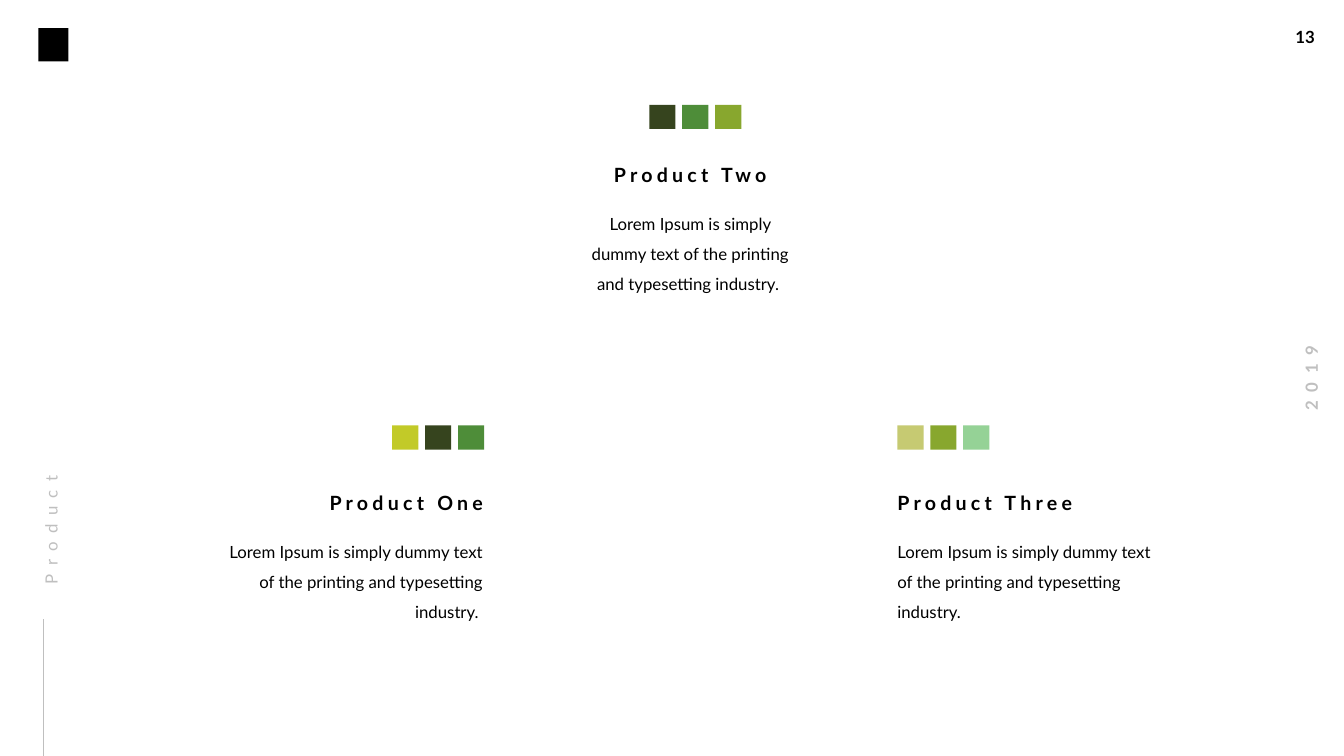
from pptx import Presentation, util as u
from pptx.dml.color import RGBColor
from pptx.enum import shapes, text
from pptx.oxml.ns import qn
from lxml import etree

BLACK = RGBColor(0x00, 0x00, 0x00)
GREY = RGBColor(0xBF, 0xBF, 0xBF)
DARK = RGBColor(0x36, 0x44, 0x1E)
GREEN = RGBColor(0x4E, 0x8D, 0x39)
OLIVE = RGBColor(0x88, 0xA7, 0x2E)
LIME = RGBColor(0xC2, 0xCA, 0x28)
SAND = RGBColor(0xC6, 0xCA, 0x72)
MINT = RGBColor(0x95, 0xD2, 0x96)
LEFT, CENTER, RIGHT = text.PP_ALIGN.LEFT, text.PP_ALIGN.CENTER, text.PP_ALIGN.RIGHT

prs = Presentation()
prs.slide_width, prs.slide_height = u.Inches(13.33), u.Inches(7.5)
s = prs.slides.add_slide(prs.slide_layouts[6])

# Grid of 100 columns by 100 rows
COL, ROW = prs.slide_width / 100, prs.slide_height / 100


def box(x, y, w, h):
    return int(x * COL), int(y * ROW), int(w * COL), int(h * ROW)


def add_text(words, place, size=12, color=BLACK, bold=False, align=LEFT,
             spacing=0, line=None, inset=True, wrap=True, rotation=0):
    sp = s.shapes.add_textbox(*box(*place))
    sp.rotation = rotation
    tf = sp.text_frame
    tf.word_wrap = wrap
    tf.auto_size = text.MSO_AUTO_SIZE.SHAPE_TO_FIT_TEXT
    p = tf.paragraphs[0]
    p.alignment = align
    if not inset:
        tf.margin_left = tf.margin_top = tf.margin_bottom = 0
        p.space_before = u.Pt(12)
    if line:
        p.line_spacing = line
    r = p.add_run()
    r.text = words
    r.font.name, r.font.size, r.font.bold = "Lato", u.Pt(size), bold
    r.font.color.rgb = color
    if spacing:
        r._r.get_or_add_rPr().set("spc", str(spacing * 100))


# Page furniture: mark, page number, year
mark = s.shapes.add_shape(shapes.MSO_SHAPE.RECTANGLE, *box(2.85, 3.73, 2.25, 4.4))
mark.shadow.inherit = False
mark.fill.solid()
mark.fill.fore_color.rgb = BLACK
mark.line.fill.background()
add_text("13", (95.65, 2.93, 3.08, 4), bold=True, wrap=False)
add_text("2019", (94.07, 48, 6.98, 4), color=GREY, bold=True, align=CENTER,
         spacing=6, wrap=False, rotation=270)

# Section label and its line
add_text("Product", (-3.68, 63.2, 13.88, 3.47), color=GREY, spacing=6,
         line=1.5, inset=False, rotation=270)
rule = s.shapes.add_connector(shapes.MSO_CONNECTOR.STRAIGHT, int(3.23 * COL),
                              int(100 * ROW), int(3.23 * COL), int(81.87 * ROW))
rule.line.color.rgb = GREY
rule.line.width = u.Pt(0.5)
etree.SubElement(rule._element.spPr, qn("a:effectLst"))

# Products: name, align, swatch x and y, title x and y, body x and width, colours
LOREM = "Lorem Ipsum is simply dummy text of the printing and typesetting industry."
products = [
    ("Product Two", CENTER, 48.31, 13.87, 42.91, 21.6, 43.59, 16.28,
     (DARK, GREEN, OLIVE)),
    ("Product One", RIGHT, 29.18, 56.27, 19.05, 64.93, 16.95, 19.73,
     (LIME, DARK, GREEN)),
    ("Product Three", LEFT, 66.77, 56.27, 66.77, 64.93, 66.77, 19.73,
     (SAND, OLIVE, MINT)),
]
for name, align, swatch_x, swatch_y, title_x, title_y, body_x, body_w, colors in products:
    body = LOREM if align == LEFT else LOREM + " "
    add_text(body, (body_x, title_y + 5.33, body_w, 11.6), align=align,
             line=1.5, inset=False)
    add_text(name, (title_x, title_y, 17.63, 3.2), size=14, bold=True,
             align=align, spacing=3, inset=False)
    for i, color in enumerate(colors):
        sp = s.shapes.add_shape(shapes.MSO_SHAPE.RECTANGLE,
                                *box(swatch_x + 2.45 * i, swatch_y, 1.95, 3.2))
        sp.shadow.inherit = False
        sp.fill.solid()
        sp.fill.fore_color.rgb = color
        sp.line.fill.background()

prs.save("out.pptx")
